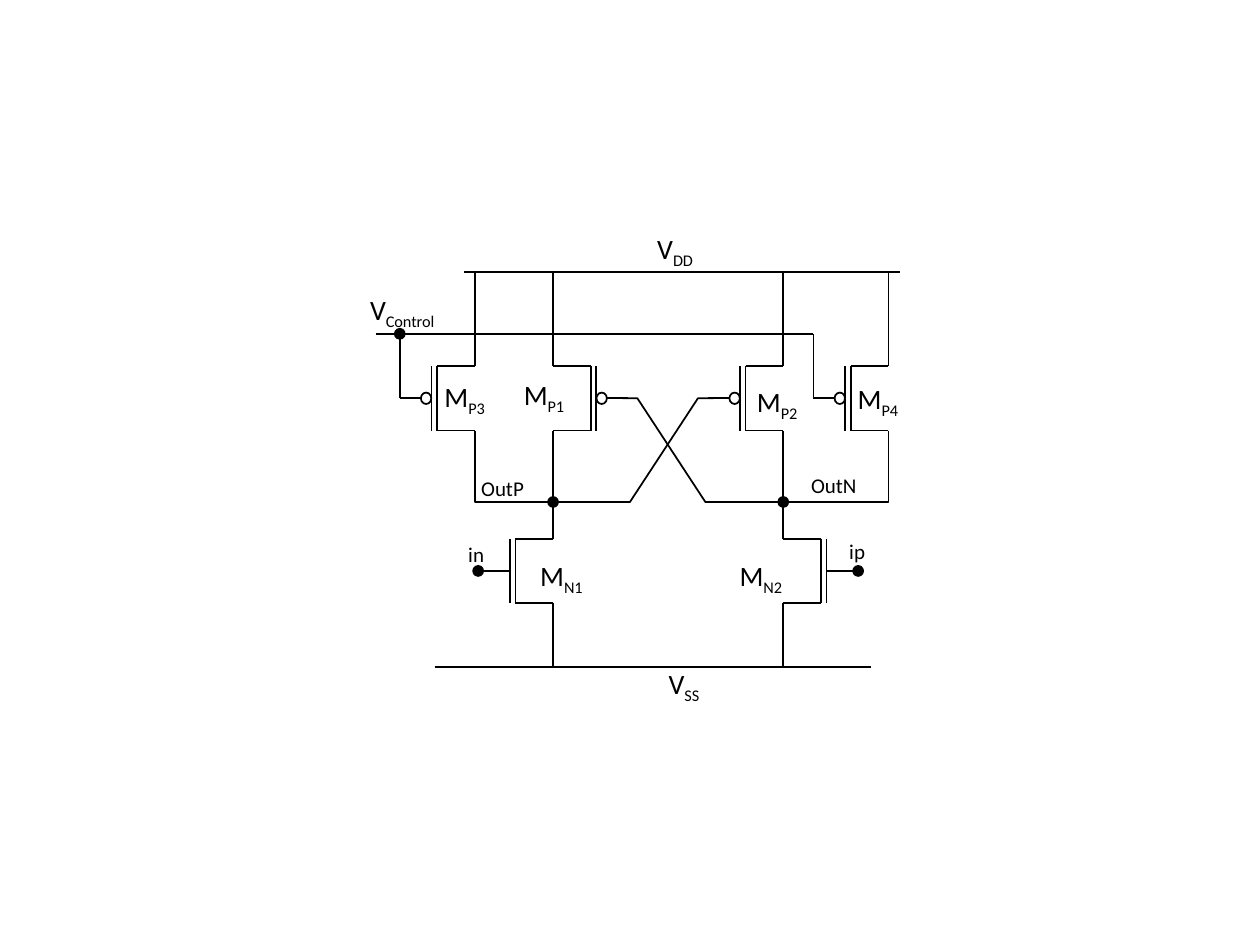
from lxml import etree
from pptx import Presentation
from pptx.dml.color import RGBColor
from pptx.enum.shapes import MSO_CONNECTOR, MSO_SHAPE
from pptx.enum.text import MSO_ANCHOR, MSO_AUTO_SIZE, PP_ALIGN
from pptx.oxml.ns import qn
from pptx.util import Cm, Pt

STRAIGHT = MSO_CONNECTOR.STRAIGHT
ELLIPSE = MSO_SHAPE.OVAL
FIT_SHAPE = MSO_AUTO_SIZE.SHAPE_TO_FIT_TEXT
TOP = MSO_ANCHOR.TOP
LEFT = PP_ALIGN.LEFT
BLACK, WHITE = "000000", "FFFFFF"

# Horizontal levels of the circuit, in cm
VDD_Y, CONTROL_Y, OUT_Y, VSS_Y = 5.49, 6.73, 10.12, 13.44
P_GATE_Y, N_GATE_Y = 8.03, 11.51

# Vertical branches of the circuit, in cm
P3_X, P1_X, P2_X, P4_X = 9.57, 11.15, 15.79, 17.91

# Transistor symbol: distances from its branch, in cm
HALF_HEIGHT = 0.65
CHANNEL, PLATE, BUBBLE, LEAD = 0.76, 0.87, 0.98, 1.51


def color(hex_value):
    return RGBColor.from_string(hex_value)


def add_line(slide, x1, y1, x2, y2):
    line = slide.shapes.add_connector(STRAIGHT, Cm(x1), Cm(y1), Cm(x2), Cm(y2))
    line.line.color.rgb = color(BLACK)
    line.line.width = Pt(1)
    etree.SubElement(line._element.spPr, qn("a:effectLst"))


def add_wire(slide, *points):
    """Draw an open bent wire through the points."""
    start, *others = [(Cm(x), Cm(y)) for x, y in points]
    builder = slide.shapes.build_freeform(*start)
    builder.add_line_segments(others, close=False)
    wire = builder.convert_to_shape()
    wire.shadow.inherit = False
    wire.fill.background()
    wire.line.color.rgb = color(BLACK)
    wire.line.width = Pt(1)


def add_circle(slide, x, y, fill=BLACK, width=0.21, height=0.21, line_width=0.75):
    """Draw a node, or a gate bubble, centred on x, y."""
    circle = slide.shapes.add_shape(
        ELLIPSE, Cm(x - width / 2), Cm(y - height / 2), Cm(width), Cm(height))
    circle.shadow.inherit = False
    circle.fill.solid()
    circle.fill.fore_color.rgb = color(fill)
    circle.line.color.rgb = color(BLACK)
    circle.line.width = Pt(line_width)


def add_text(slide, text, left, top, width=1.52, height=0.94, subscript="", size=16):
    box = slide.shapes.add_textbox(Cm(left), Cm(top), Cm(width), Cm(height))
    frame = box.text_frame
    frame.word_wrap = True
    frame.auto_size = FIT_SHAPE
    frame.vertical_anchor = TOP
    paragraph = frame.paragraphs[0]
    paragraph.alignment = LEFT
    for part, baseline in ((text, None), (subscript, "-25000")):
        if not part:
            continue
        run = paragraph.add_run()
        run.text = part
        run.font.name = "Calibri"
        run.font.size = Pt(size)
        run.font.color.rgb = color(BLACK)
        if baseline:
            run._r.get_or_add_rPr().set("baseline", baseline)


def add_transistor(slide, x, gate_y, side, upper_y, lower_y, bubble=False):
    """Draw a transistor on branch x; side is -1 for a gate on the left, 1 on the right."""
    top, bottom = gate_y - HALF_HEIGHT, gate_y + HALF_HEIGHT
    channel_x, plate_x = x + side * CHANNEL, x + side * PLATE
    add_line(slide, x, upper_y, x, top)
    add_line(slide, x, bottom, x, lower_y)
    for bar_x in (channel_x, plate_x):
        add_line(slide, bar_x, top, bar_x, bottom)
    for arm_y in (top, bottom):
        add_line(slide, channel_x, arm_y, x, arm_y)
    add_line(slide, plate_x, gate_y, x + side * LEAD, gate_y)
    if bubble:
        add_circle(slide, x + side * BUBBLE, gate_y, fill=WHITE, height=0.23, line_width=1)


def add_wiring(slide):
    # Supply rails and control line
    add_line(slide, 9.35, VDD_Y, 18.14, VDD_Y)
    add_line(slide, 8.76, VSS_Y, 17.55, VSS_Y)
    add_line(slide, 7.57, CONTROL_Y, P4_X - LEAD, CONTROL_Y)
    for x in (P3_X, P4_X):
        add_line(slide, x - LEAD, CONTROL_Y, x - LEAD, P_GATE_Y)
    # Cross-coupled gates
    add_wire(slide, (12.55, P_GATE_Y), (12.85, P_GATE_Y), (14.22, OUT_Y), (P2_X, OUT_Y))
    add_wire(slide, (14.38, P_GATE_Y), (14.07, P_GATE_Y), (12.7, OUT_Y), (P1_X, OUT_Y))
    # Outer branches joined to the outputs
    for outer_x, inner_x in ((P3_X, P1_X), (P4_X, P2_X)):
        add_wire(slide, (inner_x, OUT_Y), (outer_x, OUT_Y), (outer_x, 9.7))


def add_labels(slide):
    # Supplies and control
    add_text(slide, "V", 13, 4.55, width=1.63, subscript="DD")
    add_text(slide, "V", 13.23, 13.31, width=2.29, subscript="SS")
    add_text(slide, "V", 7.21, 5.77, width=2.01, subscript="Control")
    # Transistor names
    for name, left, top in (("P1", 10.31, 7.49), ("P2", 15.01, 7.62),
                            ("P3", 8.71, 7.52), ("P4", 17.04, 7.57),
                            ("N1", 10.64, 11.13), ("N2", 14.66, 11.13)):
        add_text(slide, "M", left, top, subscript=name)
    # Signals
    for name, left, top in (("OutP", 9.45, 9.47), ("OutN", 16.1, 9.4),
                            ("in", 9.19, 10.8), ("ip", 16.87, 10.74)):
        add_text(slide, name, left, top, height=0.76, size=12)


def main():
    presentation = Presentation()
    presentation.slide_width, presentation.slide_height = Cm(25.4), Cm(19.05)
    slide = presentation.slides.add_slide(presentation.slide_layouts[6])

    add_wiring(slide)
    for x, side in ((P3_X, -1), (P1_X, 1), (P2_X, -1), (P4_X, -1)):
        add_transistor(slide, x, P_GATE_Y, side, VDD_Y, OUT_Y, bubble=True)
    for x, side in ((P1_X, -1), (P2_X, 1)):
        add_transistor(slide, x, N_GATE_Y, side, OUT_Y, VSS_Y)
        add_circle(slide, x, OUT_Y)
        add_circle(slide, x + side * LEAD, N_GATE_Y)
    add_circle(slide, P3_X - LEAD, CONTROL_Y)
    add_labels(slide)

    presentation.save("out.pptx")


if __name__ == "__main__":
    main()
